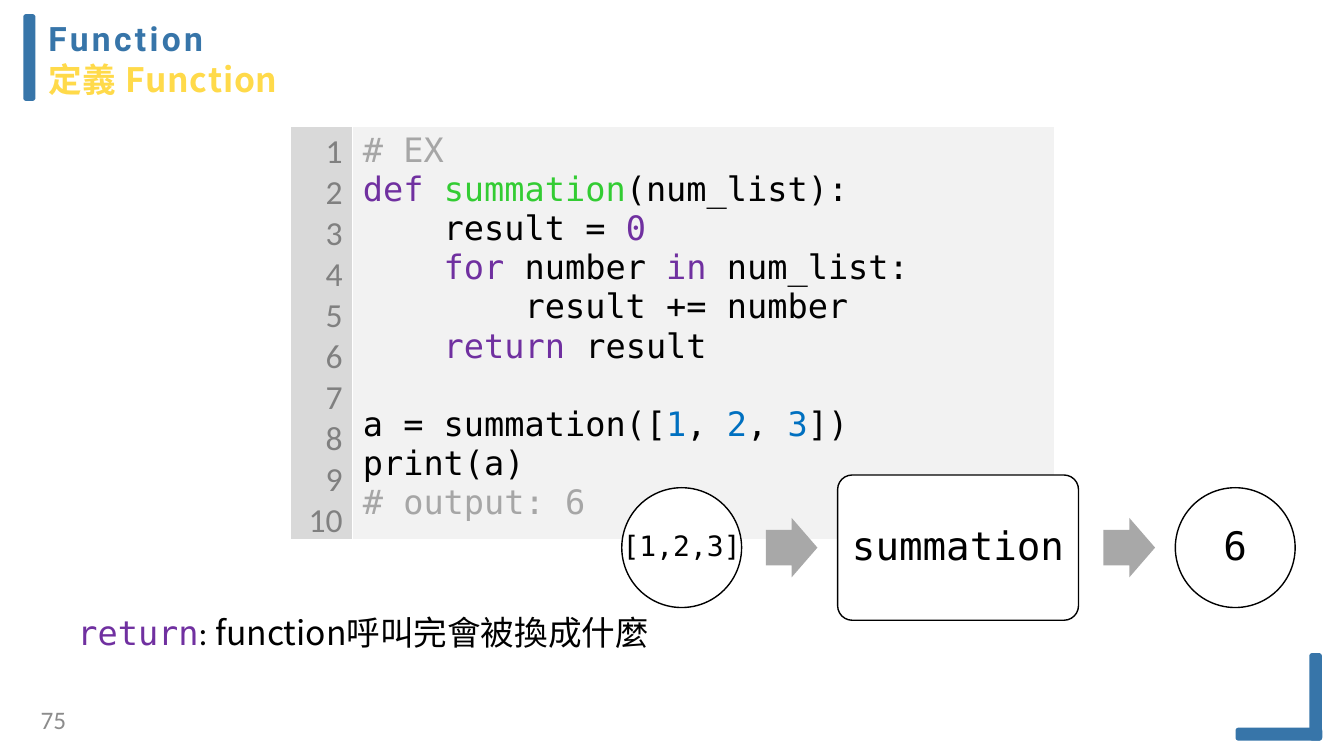
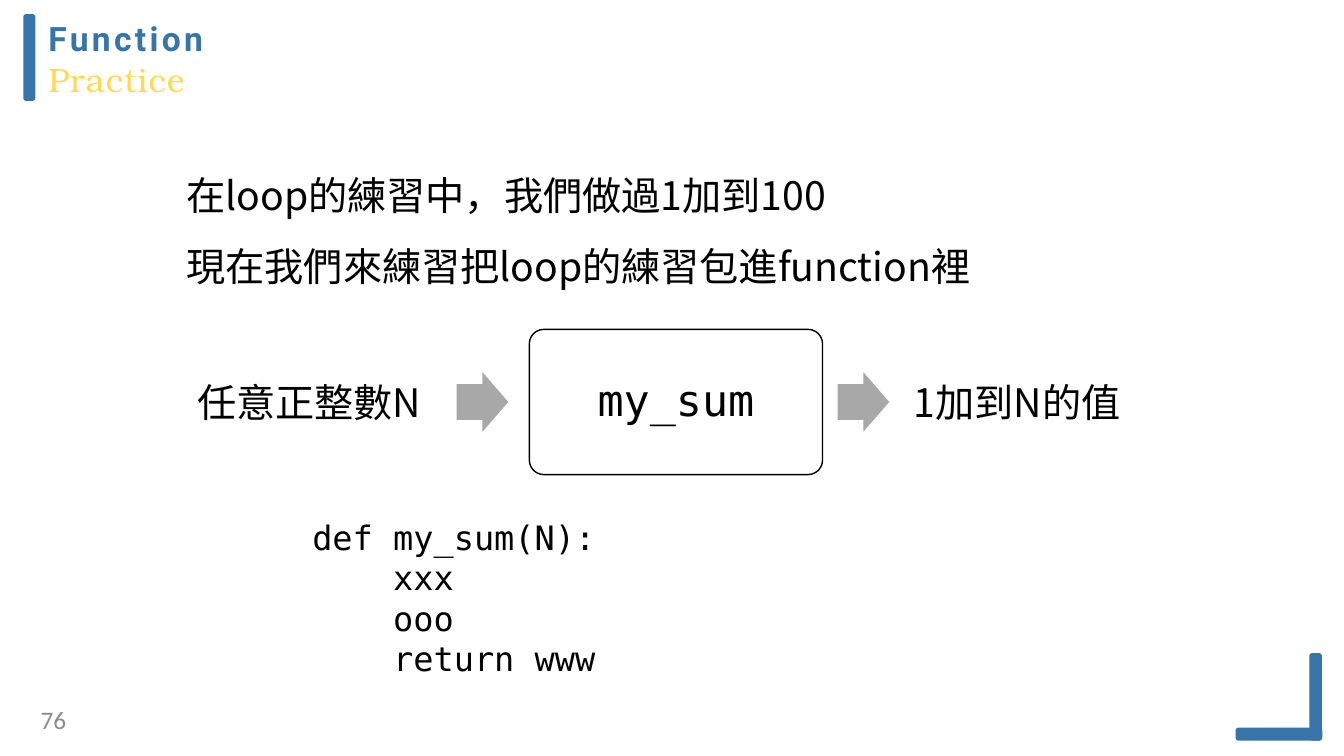
from lxml.etree import SubElement
from pptx import Presentation
from pptx.dml.color import RGBColor
from pptx.enum.shapes import MSO_SHAPE
from pptx.enum.text import MSO_ANCHOR, PP_ALIGN
from pptx.oxml.ns import qn
from pptx.util import Cm, Pt

# Shared colours and fonts
BLUE, YELLOW = "3775A9", "FFDA4A"
BLACK, WHITE, ARROW_GRAY = "000000", "FFFFFF", "A8A8A8"
NUMBER_GRAY, LINE_GRAY = "8C8C8C", "808080"
GUTTER_FILL, CODE_FILL = "D9D9D9", "F2F2F2"
COMMENT, KEYWORD, NAME, VALUE = "A6A6A6", "7030A0", "33CC33", "0070C0"
MONO, SANS, CHINESE = "DejaVu Sans Mono", "Calibri", "Noto Sans CJK SC"
CHINESE_TC = "Noto Sans CJK TC"

SUMMATION_CODE = [
    [("# EX", COMMENT)],
    [("def ", KEYWORD), ("summation", NAME), ("(num_list):", BLACK)],
    [("    result = ", BLACK), ("0", KEYWORD)],
    [("    for ", KEYWORD), ("number", BLACK), (" in ", KEYWORD),
     ("num_list:", BLACK)],
    [("        result += number", BLACK)],
    [("    return ", KEYWORD), ("result", BLACK)],
    [],
    [("a = summation([", BLACK), ("1", VALUE), (", ", BLACK), ("2", VALUE),
     (", ", BLACK), ("3", VALUE), ("])", BLACK)],
    [("print(a)", BLACK)],
    [("# output: 6", COMMENT)],
]


def rgb(value):
    return RGBColor.from_string(value)


# Text
def set_font(font, name, size=None, color=None, bold=None, tracking=None):
    font.name = name
    SubElement(font._rPr, qn("a:ea")).set("typeface", name)
    if size:
        font.size = Pt(size)
    if color:
        font.color.rgb = rgb(color)
    if bold is not None:
        font.bold = bold
    if tracking:
        font._rPr.set("spc", str(round(tracking * 100)))


def add_paragraphs(frame, lines, name, size, color=BLACK, align=PP_ALIGN.LEFT,
                   spacing=1.0):
    """Each line is a string or a list of (text, colour) spans."""
    for index, line in enumerate(lines):
        para = frame.paragraphs[0] if index == 0 else frame.add_paragraph()
        para.alignment = align
        para.line_spacing = spacing
        set_font(para.font, name, size, color)
        if isinstance(line, str):
            line = [(line, None)]
        for text, span_color in line:
            span = para.add_run()
            span.text = text
            if span_color and span_color != color:
                span.font.color.rgb = rgb(span_color)


def add_box(page, left, top, width, height, margin=None):
    box = page.shapes.add_textbox(Cm(left), Cm(top), Cm(width), Cm(height))
    frame = box.text_frame
    frame.word_wrap = True
    if margin is not None:
        set_margins(frame, margin)
    return frame


def set_margins(frame, margin):
    frame.margin_left = frame.margin_right = Cm(margin)
    frame.margin_top = frame.margin_bottom = Cm(margin)


# Shapes
def add_shape(page, kind, left, top, width, height, fill, line=None,
              line_width=1):
    shape = page.shapes.add_shape(kind, Cm(left), Cm(top), Cm(width),
                                  Cm(height))
    shape.shadow.inherit = False
    shape.fill.solid()
    shape.fill.fore_color.rgb = rgb(fill)
    if line:
        shape.line.color.rgb = rgb(line)
        shape.line.width = Pt(line_width)
    else:
        shape.line.fill.background()
    return shape


def add_bar(page, left, top, width, height):
    bar = add_shape(page, MSO_SHAPE.ROUNDED_RECTANGLE, left, top, width,
                    height, BLUE, BLUE, 3)
    bar.adjustments[0] = 0.1


def add_node(page, kind, left, middle, width, height, text, size):
    node = add_shape(page, kind, left, middle - height / 2, width, height,
                     WHITE, BLACK)
    if kind == MSO_SHAPE.ROUNDED_RECTANGLE:
        node.adjustments[0] = 0.1
    frame = node.text_frame
    frame.word_wrap = False
    frame.vertical_anchor = MSO_ANCHOR.MIDDLE
    set_margins(frame, 0)
    add_paragraphs(frame, [text], MONO, size, align=PP_ALIGN.CENTER,
                   spacing=0.9)


def add_arrow(page, left, middle):
    height = 1.5
    arrow = add_shape(page, MSO_SHAPE.RIGHT_ARROW, left, middle - height / 2,
                      1.3, height, ARROW_GRAY)
    arrow.adjustments[0] = 0.6
    arrow.adjustments[1] = 0.5


# Numbered code listing
def add_listing(page, code):
    table_frame = page.shapes.add_table(1, 2, Cm(7.32), Cm(3.18), Cm(19.25),
                                        Cm(10.41))
    table = table_frame.table
    table.first_row = table.horz_banding = False
    for column, width in zip(table.columns, (1.57, 17.68)):
        column.width = Cm(width)
    gutter, body = table.cell(0, 0), table.cell(0, 1)
    for cell, fill in ((gutter, GUTTER_FILL), (body, CODE_FILL)):
        cell.fill.solid()
        cell.fill.fore_color.rgb = rgb(fill)
    numbers = [str(number) for number in range(1, len(code) + 1)]
    add_paragraphs(gutter.text_frame, numbers, SANS, 24, LINE_GRAY,
                   PP_ALIGN.RIGHT)
    add_paragraphs(body.text_frame, code, MONO, 24)


# Title, corner and page number of every slide
def add_page(deck, number, subtitle, subtitle_font, bold):
    page = deck.slides.add_slide(deck.slide_layouts[6])
    title = add_box(page, 1.22, 0.41, 11.48, 2.13, 0)
    title.margin_top = Cm(0.03)
    styles = (("Function", "Roboto", BLUE, True, 2.4),
              (subtitle, subtitle_font, YELLOW, bold, 0.6))
    for index, (text, name, color, is_bold, tracking) in enumerate(styles):
        para = title.paragraphs[0] if index == 0 else title.add_paragraph()
        para.text = text
        para.space_before = Pt(1)
        set_font(para.font, name, 24, color, is_bold, tracking)
    add_bar(page, 0.64, 0.41, 0.2, 2.08)
    add_bar(page, 33.05, 16.51, 0.21, 2.1)
    add_bar(page, 31.19, 18.39, 2.08, 0.22)
    add_paragraphs(add_box(page, 0.2, 17.75, 1.47, 0.76, 0), [str(number)],
                   SANS, 18, NUMBER_GRAY, PP_ALIGN.RIGHT)
    return page


def build_definition(deck):
    page = add_page(deck, 75, "定義 Function", CHINESE, True)
    add_listing(page, SUMMATION_CODE)

    # Meaning of return
    frame = add_box(page, 1.7, 15.42, 14.99, 1.17)
    para = frame.paragraphs[0]
    para.line_spacing = 0.9
    para.space_before = Pt(10)
    para.font.size = Pt(24)
    for text, name, color in (("return", MONO, KEYWORD), (": ", SANS, BLACK),
                              ("function呼叫完會被換成什麼", CHINESE_TC, BLACK)):
        span = para.add_run()
        span.text = text
        set_font(span.font, name, color=color)

    # Input, function, output
    middle, diameter = 13.8, 3.02
    add_node(page, MSO_SHAPE.OVAL, 15.67, middle, diameter, diameter,
             "[1,2,3]", 20)
    add_arrow(page, 19.3, middle)
    add_node(page, MSO_SHAPE.ROUNDED_RECTANGLE, 21.11, middle, 6.07, 3.66,
             "summation", 28)
    add_arrow(page, 27.81, middle)
    add_node(page, MSO_SHAPE.OVAL, 29.62, middle, diameter, diameter, "6", 28)


def build_practice(deck):
    page = add_page(deck, 76, "Practice", "TeX Gyre Bonum", False)
    add_paragraphs(add_box(page, 4.45, 3.61, 22.02, 3.63),
                   ["在loop的練習中，我們做過1加到100",
                    "現在我們來練習把loop的練習包進function裡"],
                   CHINESE, 28, spacing=1.5)

    # Input, function, output
    middle = 10.13
    add_arrow(page, 11.51, middle)
    add_node(page, MSO_SHAPE.ROUNDED_RECTANGLE, 13.34, middle, 7.39, 3.66,
             "my_sum", 31)
    add_arrow(page, 21.11, middle)
    for left, text in ((4.72, "任意正整數N"), (22.78, "1加到N的值")):
        add_paragraphs(add_box(page, left, 9.41, 6.35, 1.45), [text],
                       CHINESE, 28)

    # Function skeleton
    add_paragraphs(add_box(page, 7.62, 12.9, 11.86, 4.37),
                   ["def my_sum(N):", "    xxx", "    ooo",
                    "    return www"], MONO, 24)


def main():
    deck = Presentation()
    deck.slide_width, deck.slide_height = Cm(33.87), Cm(19.05)
    build_definition(deck)
    build_practice(deck)
    deck.save("out.pptx")


if __name__ == "__main__":
    main()
